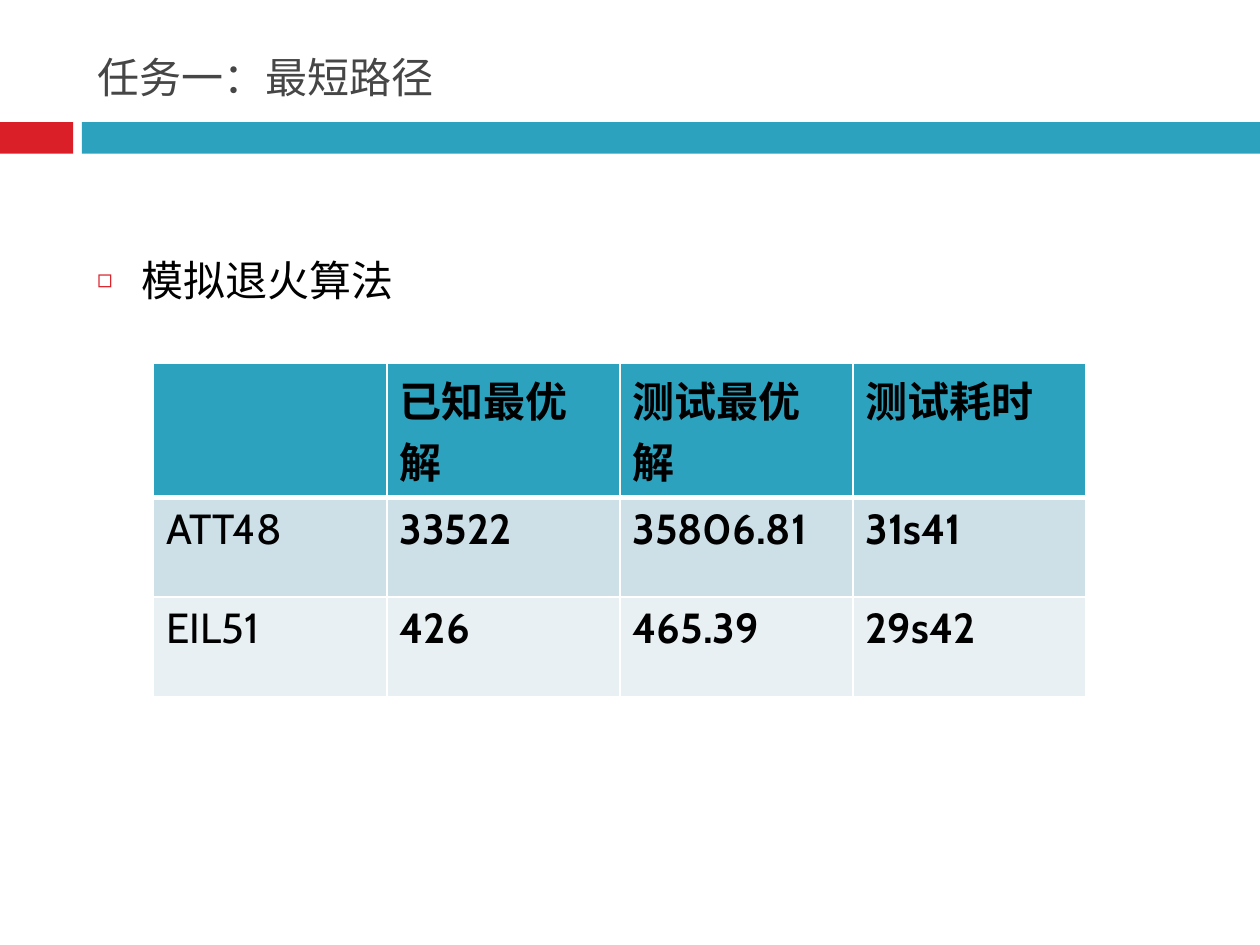
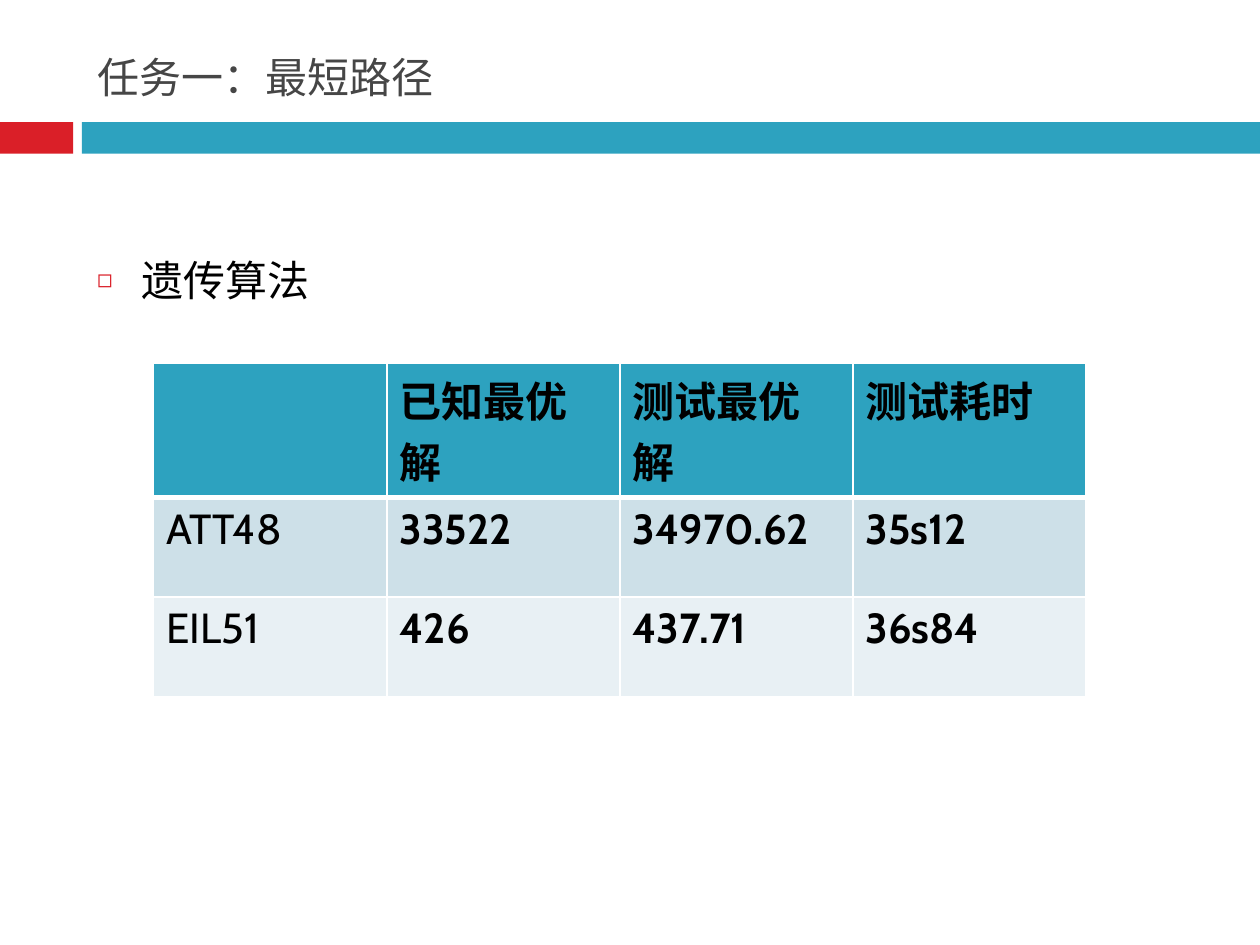
from lxml.etree import SubElement
from pptx import Presentation
from pptx.dml.color import RGBColor
from pptx.enum.shapes import MSO_SHAPE as Shape
from pptx.enum.text import MSO_ANCHOR as Anchor, MSO_AUTO_SIZE as AutoSize, PP_ALIGN as Align
from pptx.oxml.ns import qn
from pptx.util import Inches, Pt

FONT = "Cabin"
TEXT_SIZE = 24
BLACK, WHITE, GREY = "000000", "FFFFFF", "464646"
RED, TEAL = "DA1F28", "2DA2BF"
ROW_FILLS = [TEAL, "CDE0E8", "E8F0F4"]
TITLE = "任务一：最短路径"
HEADER = ["", "已知最优解", "测试最优解", "测试耗时"]
RESULTS = {
    "模拟退火算法": [
        ["ATT48", "33522", "35806.81", "31s41"],
        ["EIL51", "426", "465.39", "29s42"],
    ],
    "遗传算法": [
        ["ATT48", "33522", "34970.62", "35s12"],
        ["EIL51", "426", "437.71", "36s84"],
    ],
}


def color(hex_string):
    return RGBColor.from_string(hex_string)


class Deck:
    """Holds the shared style and the slide being built."""

    def __init__(self):
        self.presentation = Presentation()
        self.presentation.slide_width = Inches(10)
        self.presentation.slide_height = Inches(7.5)
        self.slide = None

    def new_slide(self, title):
        layout = self.presentation.slide_layouts[1]
        self.slide = self.presentation.slides.add_slide(layout)
        self.band(0, 0.58, RED)
        self.band(0.65, 9.35, TEAL)
        self.title(title)

    def band(self, left, width, fill):
        shape = self.slide.shapes.add_shape(
            Shape.RECTANGLE, Inches(left), Inches(0.97), Inches(width), Inches(0.25))
        shape.shadow.inherit = False
        shape.fill.solid()
        shape.fill.fore_color.rgb = color(fill)
        shape.line.fill.background()

    def style(self, paragraph, text_color=BLACK, bold=False):
        paragraph.alignment = Align.LEFT
        font = paragraph.font
        font.name = FONT
        font.size = Pt(TEXT_SIZE)
        font.bold = bold
        font.color.rgb = color(text_color)

    def fill_placeholder(self, placeholder, top, height, anchor, text):
        placeholder.left, placeholder.top = Inches(0.67), Inches(top)
        placeholder.width, placeholder.height = Inches(8.92), Inches(height)
        frame = placeholder.text_frame
        frame.auto_size = AutoSize.NONE
        frame.vertical_anchor = anchor
        frame.text = text
        return frame.paragraphs[0]

    def title(self, text):
        paragraph = self.fill_placeholder(
            self.slide.shapes.title, 0.17, 0.69, Anchor.BOTTOM, text)
        self.style(paragraph, GREY)

    def bullet(self, text):
        paragraph = self.fill_placeholder(
            self.slide.placeholders[1], 1.97, 4.78, Anchor.TOP, text)
        paragraph.space_before = Pt(7)
        properties = paragraph._p.get_or_add_pPr()
        properties.set("marL", str(Inches(0.35)))
        properties.set("indent", str(Inches(-0.35)))
        bullet_color = SubElement(properties, qn("a:buClr"))
        SubElement(bullet_color, qn("a:srgbClr"), val=RED)
        SubElement(properties, qn("a:buSzPct"), val="60000")
        SubElement(properties, qn("a:buChar"), char="◻")
        self.style(paragraph)

    def borders(self, cell, thick_side):
        properties = cell._tc.get_or_add_tcPr()
        for side in "LRTB":
            width = Pt(3 if side == thick_side else 1)
            line = SubElement(properties, qn(f"a:ln{side}"), w=str(width))
            fill = SubElement(line, qn("a:solidFill"))
            SubElement(fill, qn("a:srgbClr"), val=WHITE)

    def table(self, rows):
        table = self.slide.shapes.add_table(
            len(rows), len(rows[0]), Inches(1.22), Inches(2.88),
            Inches(7.4), Inches(0.79 * len(rows))).table
        thick_sides = {0: "B", 1: "T"}
        for row_index, values in enumerate(rows):
            for column_index, value in enumerate(values):
                cell = table.cell(row_index, column_index)
                self.borders(cell, thick_sides.get(row_index))
                cell.fill.solid()
                cell.fill.fore_color.rgb = color(ROW_FILLS[row_index])
                cell.text = value
                self.style(cell.text_frame.paragraphs[0], bold=column_index > 0)


def main():
    deck = Deck()
    for algorithm, results in RESULTS.items():
        deck.new_slide(TITLE)
        deck.bullet(algorithm)
        deck.table([HEADER, *results])
    deck.presentation.save("out.pptx")


if __name__ == "__main__":
    main()
